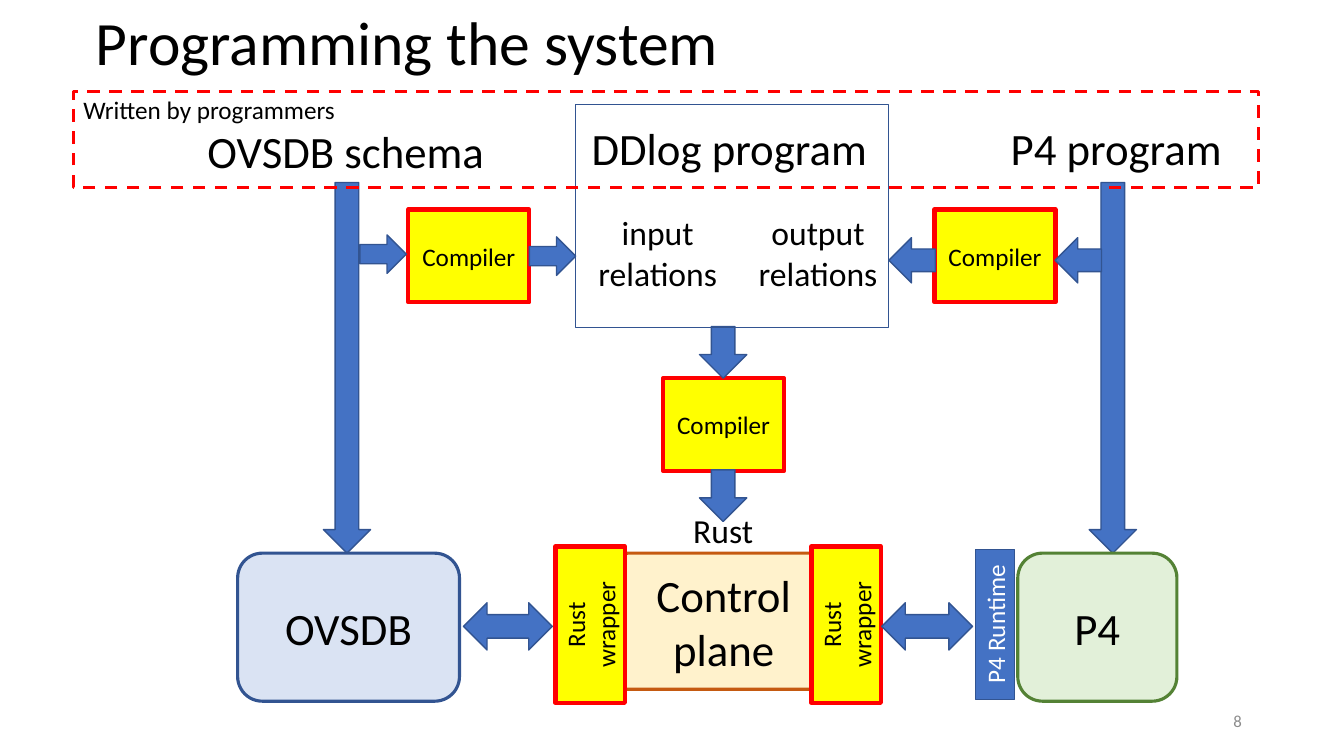
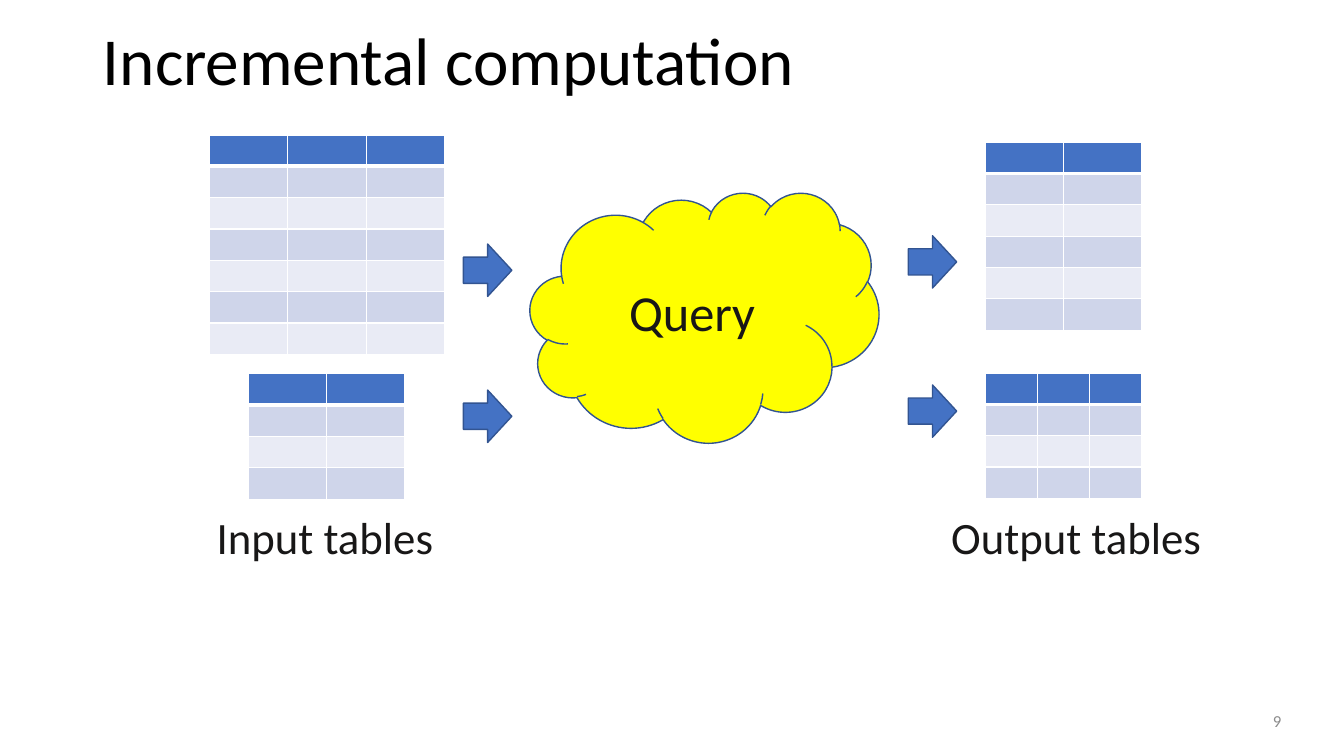
from dataclasses import dataclass

from lxml import etree
from pptx import Presentation
from pptx import util as u
from pptx.dml.color import RGBColor
from pptx.enum import dml, shapes, text
from pptx.oxml import ns

PRESET = shapes.MSO_SHAPE
ALIGN = text.PP_ALIGN


@dataclass(frozen=True)
class Theme:
    """Colours, type sizes and line widths shared by the slides."""

    font: str = "Calibri"
    black: str = "000000"
    ink: str = "181717"
    white: str = "FFFFFF"
    grey: str = "8C8C8C"
    blue: str = "4472C4"
    outline: str = "325491"
    yellow: str = "FFFF00"
    red: str = "FF0000"
    pale_blue: str = "DAE3F3"
    pale_gold: str = "FFF2CC"
    rust: str = "C55A11"
    pale_green: str = "E2F0D9"
    green: str = "548235"
    bands: tuple = ("CFD5EA", "E9EBF5")
    query: int = 36
    heading: int = 32
    relation: int = 24
    body: int = 18
    footer: int = 12
    thin: float = 1
    medium: float = 2.25
    thick: float = 3


THEME = Theme()


@dataclass(frozen=True)
class Box:
    """A rectangle on the slide, in centimetres."""

    left: float
    top: float
    width: float
    height: float

    def inner(self, left, top, width, height):
        """Return a box placed relative to this one."""
        return Box(self.left + left, self.top + top, width, height)

    def turned(self):
        """Return the box that covers this one after a quarter turn."""
        shift = (self.width - self.height) / 2
        return self.inner(shift, -shift, self.height, self.width)

    def lengths(self):
        """Return left, top, width and height as slide lengths."""
        return [u.Cm(value) for value in (self.left, self.top, self.width, self.height)]


def write(frame, words, size, color=THEME.black, align=ALIGN.CENTER):
    """Write one paragraph, breaking it where the words hold a new line."""
    paragraph = frame.paragraphs[0]
    paragraph.alignment = align
    for index, line in enumerate(words.split("\n")):
        if index:
            paragraph.add_line_break()
        run = paragraph.add_run()
        run.text = line
        run.font.name = THEME.font
        run.font.size = u.Pt(size)
        run.font.color.rgb = RGBColor.from_string(color)
    return paragraph


def add_title(slide, box, words, size):
    """Place and format the title placeholder."""
    title = slide.shapes.title
    title.left, title.top, title.width, title.height = box.lengths()
    frame = title.text_frame
    frame.auto_size = text.MSO_AUTO_SIZE.NONE
    frame.vertical_anchor = text.MSO_ANCHOR.MIDDLE
    write(frame, words, size, align=ALIGN.LEFT).line_spacing = 0.9


def add_label(slide, box, words, size, color=THEME.black, align=ALIGN.LEFT):
    """Add a text box whose lines do not wrap."""
    frame = slide.shapes.add_textbox(*box.lengths()).text_frame
    frame.word_wrap = False
    write(frame, words, size, color, align)
    return frame


def add_number(slide, box, words):
    """Add the slide number."""
    frame = add_label(slide, box, words, THEME.footer, THEME.grey, ALIGN.RIGHT)
    frame.word_wrap = True
    frame.vertical_anchor = text.MSO_ANCHOR.MIDDLE


def add_figure(slide, preset, box, fill=THEME.blue, line=THEME.outline, weight=THEME.thin):
    """Add a preset shape; a fill of None leaves it open."""
    shape = slide.shapes.add_shape(preset, *box.lengths())
    shape.shadow.inherit = False
    if fill:
        shape.fill.solid()
        shape.fill.fore_color.rgb = RGBColor.from_string(fill)
    else:
        shape.fill.background()
    shape.line.color.rgb = RGBColor.from_string(line)
    shape.line.width = u.Pt(weight)
    return shape


def add_node(slide, box, words, fill, line):
    """Add a rounded system component."""
    shape = add_figure(slide, PRESET.ROUNDED_RECTANGLE, box, fill, line, THEME.medium)
    write(shape.text_frame, words, THEME.heading)


def add_generated(slide, box, words):
    """Add a yellow box with a red frame."""
    shape = add_figure(slide, PRESET.RECTANGLE, box, THEME.yellow, THEME.red, THEME.thick)
    write(shape.text_frame, words, THEME.body)
    return shape


def add_compile_region(slide, box):
    """Draw the compilers between the sources and the running system."""
    for left in (0, box.width - 1.19):
        add_figure(slide, PRESET.DOWN_ARROW, box.inner(left, 1.96, 1.19, box.height - 1.96))
    arrows = (
        (PRESET.RIGHT_ARROW, 0.92, 3.28, 1.17, 0.97),
        (PRESET.RIGHT_ARROW, 5.19, 3.33, 1.17, 0.97),
        (PRESET.LEFT_ARROW, 14.25, 3.35, 1.17, 1.14),
        (PRESET.LEFT_ARROW, 18.44, 3.35, 1.17, 1.14),
        (PRESET.DOWN_ARROW, 9.48, 5.59, 1.19, 1.3),
        (PRESET.DOWN_ARROW, 9.48, 9.2, 1.19, 1.3),
    )
    for left, top in ((2.14, 2.64), (15.4, 2.64), (8.56, 6.89)):
        add_generated(slide, box.inner(left, top, 3.05, 2.34), "Compiler")
    for preset, *place in arrows:
        add_figure(slide, preset, box.inner(*place))
    add_figure(slide, PRESET.RECTANGLE, box.inner(6.35, 0, 7.9, 5.61), fill=None)
    for left, words in ((6.66, "input\nrelations"), (10.7, "output\nrelations")):
        place = box.inner(left, 2.58, 3.53, 2.31)
        add_label(slide, place, words, THEME.relation, align=ALIGN.CENTER)
    add_label(slide, box.inner(9.07, 10.09, 2.03, 1.27), "Rust", THEME.relation)


def add_running_region(slide, box):
    """Draw the components that run and the links between them."""
    nodes = (
        ("OVSDB", 0, 5.59, 3.73, THEME.pale_blue, THEME.outline),
        ("Control\nplane", 9.28, 5.94, 3.43, THEME.pale_gold, THEME.rust),
        ("P4", 19.66, 4.01, 3.73, THEME.pale_green, THEME.green),
    )
    for words, left, width, height, fill, line in nodes:
        add_node(slide, box.inner(left, 0.17, width, height), words, fill, line)
    for left in (8.01, 14.46):
        place = box.inner(left, 0, 1.75, box.height).turned()
        add_generated(slide, place, "Rust\nwrapper").rotation = 270
    runtime = add_figure(slide, PRESET.RECTANGLE, box.inner(18.59, 0.07, 0.99, 3.78).turned())
    runtime.rotation = 270
    write(runtime.text_frame, "P4 Runtime", THEME.body, THEME.white)
    for left, width in ((5.69, 2.24), (16.23, 2.29)):
        add_figure(slide, PRESET.LEFT_RIGHT_ARROW, box.inner(left, 1.42, width, 1.19))


def add_source_region(slide, box):
    """Draw the dashed band of hand-written sources."""
    band = add_figure(slide, PRESET.RECTANGLE, box, None, THEME.red, THEME.medium)
    band.line.dash_style = dml.MSO_LINE.DASH
    add_label(slide, box.inner(0, -0.07, 6.93, 1.02), "Written by programmers", THEME.body)
    sources = (
        ("OVSDB schema", 3.13, 0.69, 7.54),
        ("DDlog program", 12.81, 0.61, 7.54),
        ("P4 program", 23.37, 0.61, 5.89),
    )
    for words, left, top, width in sources:
        add_label(slide, box.inner(left, top, width, 1.63), words, THEME.heading)


def add_border(cell, index, side, weight):
    """Give one side of a cell a white border."""
    line = etree.Element(ns.qn(f"a:ln{side}"), w=str(u.Pt(weight)))
    fill = etree.SubElement(line, ns.qn("a:solidFill"))
    etree.SubElement(fill, ns.qn("a:srgbClr"), val=THEME.white)
    cell._tc.get_or_add_tcPr().insert(index, line)


def add_grid(slide, box, rows, columns):
    """Add an empty banded table with a blue header row."""
    table = slide.shapes.add_table(rows, columns, *box.lengths()).table
    for column in table.columns:
        column.width = u.Cm(box.width / columns)
    for number, row in enumerate(table.rows):
        row.height = u.Cm(box.height / rows)
        color = THEME.bands[(number - 1) % 2] if number else THEME.blue
        bottom = THEME.thin if number else THEME.thick
        for cell in row.cells:
            cell.margin_top = cell.margin_bottom = 0
            cell.fill.solid()
            cell.fill.fore_color.rgb = RGBColor.from_string(color)
            for index, side in enumerate("LRTB"):
                add_border(cell, index, side, bottom if side == "B" else THEME.thin)


def add_table_region(slide, box, words, label, grids):
    """Draw a column of tables with a caption below."""
    for left, top, width, rows, columns in grids:
        add_grid(slide, box.inner(left, top, width, rows * 0.79), rows, columns)
    add_label(slide, box.inner(*label), words, THEME.heading, THEME.ink)


def add_query_region(slide, box):
    """Draw the query cloud with arrows leading in and out."""
    cloud = add_figure(slide, PRESET.CLOUD, box.inner(1.68, 0, 8.79, box.height), THEME.yellow)
    write(cloud.text_frame, "Query", THEME.query, THEME.ink)
    for left, tops in ((0, (1.3, 4.98)), (box.width - 1.22, (1.09, 4.85))):
        for top in tops:
            add_figure(slide, PRESET.RIGHT_ARROW, box.inner(left, top, 1.22, 1.32))


def build_programming(slide):
    """Build the slide on programming the system."""
    add_title(slide, Box(2.16, 0.18, 29.21, 1.96), "Programming the system", 44)
    add_compile_region(slide, Box(8.15, 2.64, 20.49, 11.3))
    add_running_region(slide, Box(5.99, 13.77, 23.67, 3.94))
    add_source_region(slide, Box(1.85, 2.31, 29.87, 2.41))
    add_number(slide, Box(23.93, 17.65, 7.62, 1.02), "8")


def build_computation(slide):
    """Build the slide on incremental computation."""
    add_title(slide, Box(2.34, 0.46, 29.21, 2.29), "Incremental computation", 48)
    inputs = ((0.07, 0, 5.92, 7, 3), (1.05, 6.02, 3.94, 4, 2))
    add_table_region(slide, Box(5.21, 3.4, 6.05, 10.96), "Input tables",
                     (0, 9.33, 6.05, 1.63), inputs)
    outputs = ((1.12, 0.18, 3.94, 6, 2), (1.12, 6, 3.94, 4, 3))
    add_table_region(slide, Box(23.72, 3.4, 6.88, 10.96), "Output tables",
                     (0, 9.33, 6.88, 1.63), outputs)
    add_query_region(slide, Box(11.68, 4.85, 12.43, 6.3))
    add_number(slide, Box(29.01, 17.65, 3.53, 1.02), "9")


def main():
    """Build and save the presentation."""
    presentation = Presentation()
    presentation.slide_width = u.Cm(33.87)
    presentation.slide_height = u.Cm(19.05)
    for build in (build_programming, build_computation):
        build(presentation.slides.add_slide(presentation.slide_layouts[5]))
    presentation.save("out.pptx")


if __name__ == "__main__":
    main()
